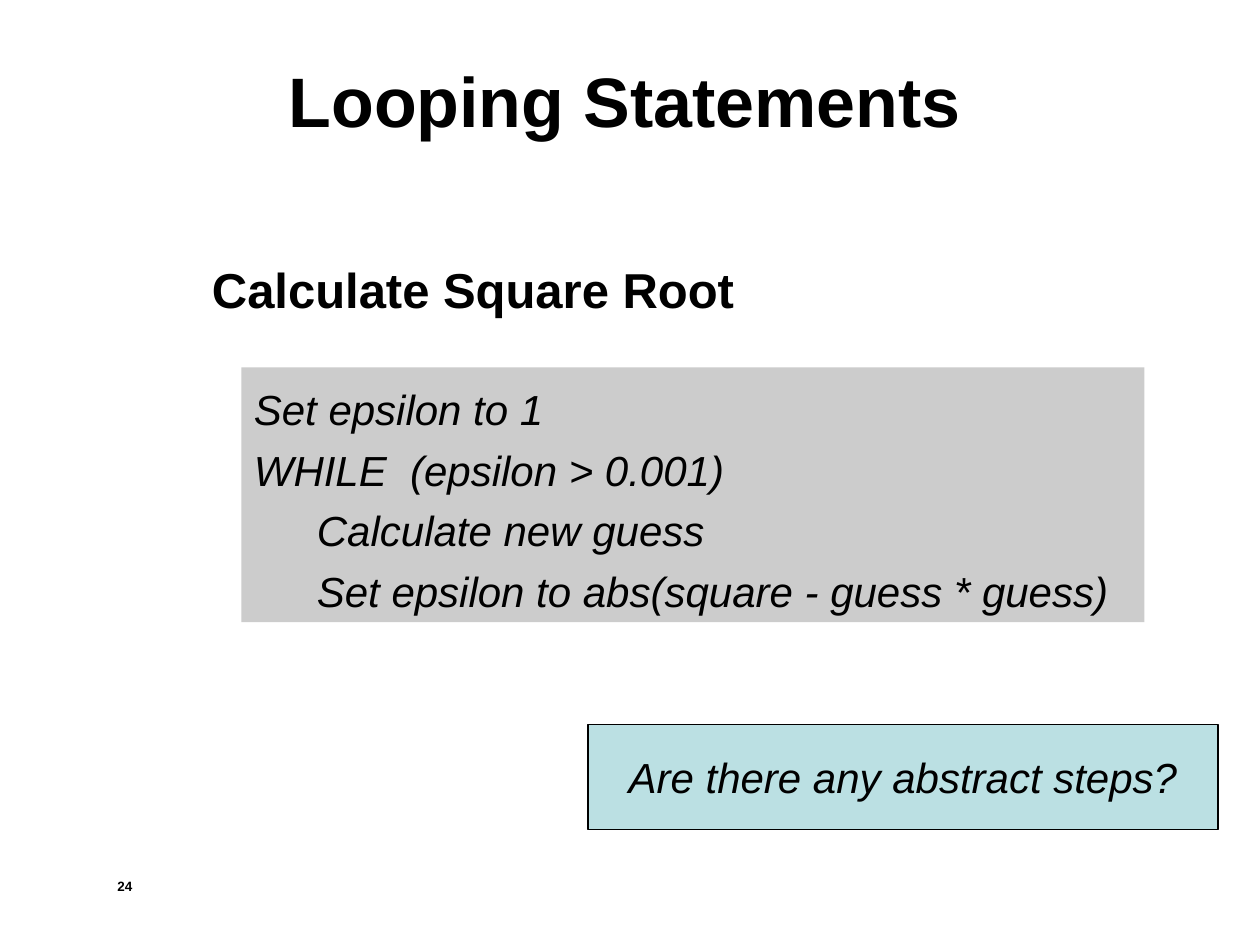
from dataclasses import dataclass

from pptx import Presentation
from pptx.dml.color import RGBColor
from pptx.enum.shapes import MSO_SHAPE
from pptx.enum.text import MSO_ANCHOR, MSO_AUTO_SIZE, PP_ALIGN
from pptx.util import Pt

RECT = MSO_SHAPE.RECTANGLE
TOP, MIDDLE = MSO_ANCHOR.TOP, MSO_ANCHOR.MIDDLE
FIT, FIXED = MSO_AUTO_SIZE.SHAPE_TO_FIT_TEXT, MSO_AUTO_SIZE.NONE
LEFT, CENTER = PP_ALIGN.LEFT, PP_ALIGN.CENTER


@dataclass(frozen=True)
class Theme:
    face: str = "Arial"
    ink: str = "000000"
    code: str = "CCCCCC"
    note: str = "BBE0E3"
    title: float = 40
    head: float = 28
    body: float = 24
    small: float = 7.7
    indent: float = 36


def assign(target, values):
    for name, value in values.items():
        setattr(target, name, value)


class Deck:
    def __init__(self, theme):
        self.theme = theme
        self.show = Presentation()
        assign(self.show, {"slide_width": Pt(720), "slide_height": Pt(540)})
        self.slide = self.show.slides.add_slide(self.show.slide_layouts[6])

    def letter(self, shape, lines, size, font=None, para=None, frame=None):
        """Fill a shape with lines; each leading tab becomes one indent."""
        text = shape.text_frame
        assign(text, {"word_wrap": True, "auto_size": FIXED,
                      "vertical_anchor": TOP, **(frame or {})})
        for i, line in enumerate(lines):
            item = text.paragraphs[0] if i == 0 else text.add_paragraph()
            assign(item, {"alignment": LEFT, **(para or {})})
            words = line.lstrip("\t")
            depth = len(line) - len(words)
            if depth:
                item._p.get_or_add_pPr().set(
                    "marL", str(Pt(depth * self.theme.indent)))
            run = item.add_run()
            run.text = words
            assign(run.font, {"name": self.theme.face, "size": Pt(size),
                              **(font or {})})
            run.font.color.rgb = RGBColor.from_string(self.theme.ink)

    def label(self, area, words, size, **style):
        shape = self.slide.shapes.add_textbox(*map(Pt, area))
        self.letter(shape, [words], size, {"bold": True}, **style)

    def panel(self, area, lines, fill, edge=None, **style):
        shape = self.slide.shapes.add_shape(RECT, *map(Pt, area))
        shape.shadow.inherit = False
        shape.fill.solid()
        shape.fill.fore_color.rgb = RGBColor.from_string(fill)
        if edge:
            shape.line.color.rgb = RGBColor.from_string(self.theme.ink)
            shape.line.width = Pt(edge)
        else:
            shape.line.fill.background()
        self.letter(shape, lines, self.theme.body, {"italic": True}, **style)


def main():
    theme = Theme()
    deck = Deck(theme)
    deck.label((60, 498, 138, 18), "24", theme.small)
    deck.label((60, 12, 594, 90), "Looping Statements", theme.title,
               para={"alignment": CENTER}, frame={"vertical_anchor": MIDDLE})
    deck.panel((138, 210, 516, 145.5), [
        "Set epsilon to 1",
        "WHILE  (epsilon > 0.001)",
        "\tCalculate new guess",
        "\tSet epsilon to abs(square - guess * guess)",
    ], theme.code, para={"line_spacing": 1.2}, frame={"auto_size": FIT})
    deck.panel((336, 414, 360, 60), ["Are there any abstract steps?"],
               theme.note, edge=0.75, para={"alignment": CENTER},
               frame={"vertical_anchor": MIDDLE, "word_wrap": False})
    deck.label((114, 144.75, 384, 41), "Calculate Square Root", theme.head,
               para={"space_before": Pt(17.5)}, frame={"auto_size": FIT})
    deck.show.save("out.pptx")


if __name__ == "__main__":
    main()
